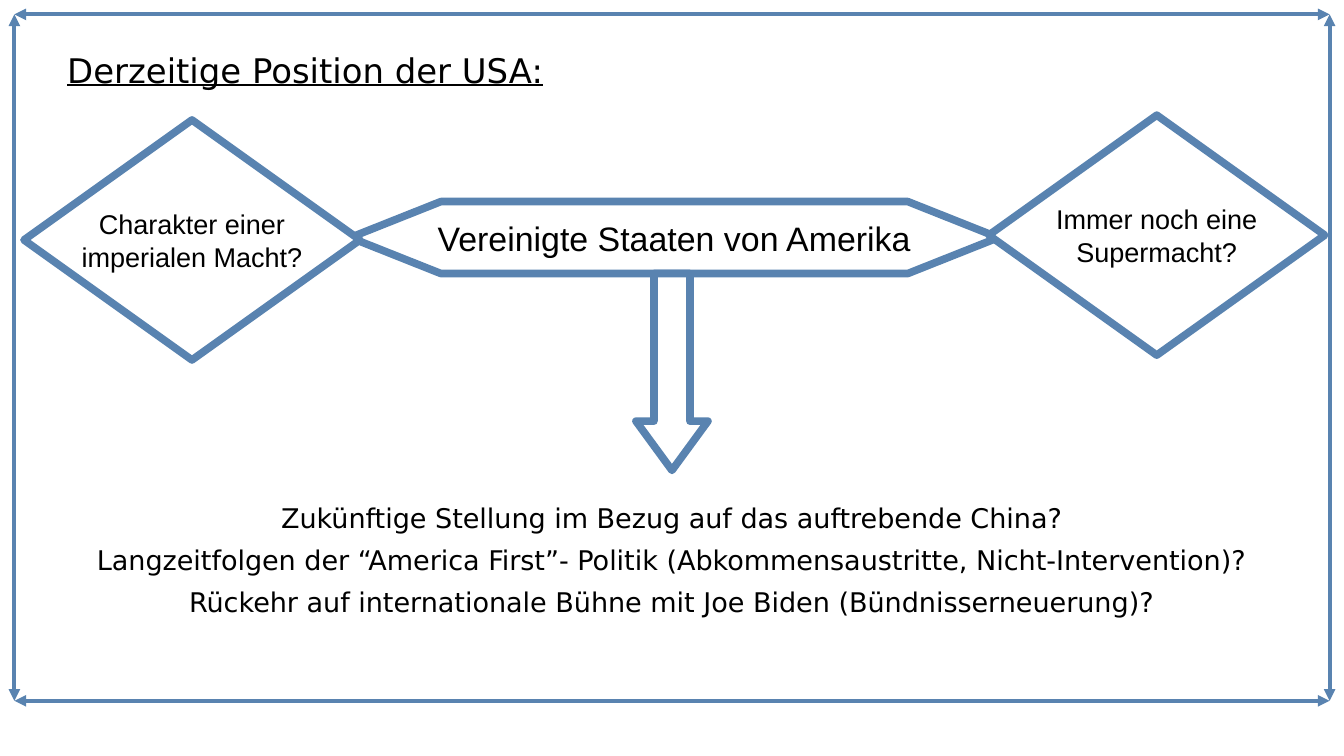
import pptx
import pptx.dml.color
import pptx.enum.shapes
import pptx.enum.text
import pptx.oxml.ns
import pptx.util
from lxml import etree

Cm, Pt = pptx.util.Cm, pptx.util.Pt
SHAPE = pptx.enum.shapes.MSO_SHAPE
ALIGN = pptx.enum.text.PP_ALIGN
ANCHOR = pptx.enum.text.MSO_ANCHOR
qn = pptx.oxml.ns.qn
BLUE, WHITE, BLACK = "5983B0", "FFFFFF", "000000"


def paint(color_format, hex_color):
    color_format.rgb = pptx.dml.color.RGBColor.from_string(hex_color)


def write(frame, lines, font_name, size, align, space_before=0):
    for index, line in enumerate(lines):
        paragraph = frame.paragraphs[0] if index == 0 else frame.add_paragraph()
        paragraph.text = line
        paragraph.alignment = align
        paragraph.space_before = Pt(space_before if index else 0)
        paragraph.font.name = font_name
        paragraph.font.size = Pt(size)
        paint(paragraph.font.color, BLACK)


presentation = pptx.Presentation()
presentation.slide_width = Cm(28)
presentation.slide_height = Cm(15.75)
slide = presentation.slides.add_slide(presentation.slide_layouts[5])

# Frame of double-headed arrows
left, top, right, bottom = Cm(0.3), Cm(0.3), Cm(27.7), Cm(14.6)
for ends in ((left, top, left, bottom), (right, top, right, bottom),
             (left, top, right, top), (right, bottom, left, bottom)):
    edge = slide.shapes.add_connector(
        pptx.enum.shapes.MSO_CONNECTOR.STRAIGHT, *ends)
    paint(edge.line.color, BLUE)
    edge.line.width = Pt(2.3)
    outline = edge.line._get_or_add_ln()
    for arrowhead in ("a:headEnd", "a:tailEnd"):
        etree.SubElement(outline, qn(arrowhead), type="triangle")
    etree.SubElement(edge._element.spPr, qn("a:effectLst"))

# Heading
heading = slide.shapes.title
heading.left, heading.top, heading.width, heading.height = (
    Cm(1.4), Cm(1.04), Cm(25.2), Cm(0.85))
write(heading.text_frame, ["Derzeitige Position der USA:"],
      "DejaVu Sans", 20, ALIGN.LEFT)
heading.text_frame.paragraphs[0].font.underline = True

# Open questions
questions = slide.shapes.add_textbox(Cm(1.4), Cm(10.45), Cm(25.2), Cm(2.6))
write(questions.text_frame, [
    "Zukünftige Stellung im Bezug auf das auftrebende China?",
    "Langzeitfolgen der “America First”- Politik (Abkommensaustritte, Nicht-Intervention)?",
    "Rückehr auf internationale Bühne mit Joe Biden (Bündnisserneuerung)?",
], "DejaVu Sans", 16, ALIGN.CENTER, 5.7)

for frame in (heading.text_frame, questions.text_frame):
    frame.margin_left = frame.margin_right = 0
    frame.margin_top = frame.margin_bottom = 0
    frame.word_wrap = True
    frame.auto_size = pptx.enum.text.MSO_AUTO_SIZE.NONE
    frame.vertical_anchor = ANCHOR.TOP

# Country, its two characterisations and the arrow to the questions
diagram = [
    (SHAPE.LEFT_RIGHT_ARROW, (7.3, 4.2, 13.5, 1.5), (1, 1.258),
     ["Vereinigte Staaten von Amerika"], 20),
    (SHAPE.DIAMOND, (20.6, 2.4, 7, 5), (),
     ["Immer noch eine", "Supermacht?"], 16),
    (SHAPE.DIAMOND, (0.5, 2.5, 7, 5), (),
     ["Charakter einer", "imperialen Macht?"], 16),
    (SHAPE.DOWN_ARROW, (13.25, 5.7, 1.5, 4.1), (0.5, 0.683), [], 16),
]
for kind, box, adjustments, lines, size in diagram:
    part = slide.shapes.add_shape(kind, *map(Cm, box))
    for index, value in enumerate(adjustments):
        part.adjustments[index] = value
    part.shadow.inherit = False
    part.fill.solid()
    paint(part.fill.fore_color, WHITE)
    paint(part.line.color, BLUE)
    part.line.width = Pt(4.5)
    etree.SubElement(part.line._get_or_add_ln(), qn("a:round"))
    frame = part.text_frame
    frame.margin_left = frame.margin_right = Cm(0.33)
    frame.margin_top = frame.margin_bottom = Cm(0.2)
    frame.word_wrap = False
    frame.vertical_anchor = ANCHOR.MIDDLE
    write(frame, lines, "Arial", size, ALIGN.CENTER)

presentation.save("out.pptx")
